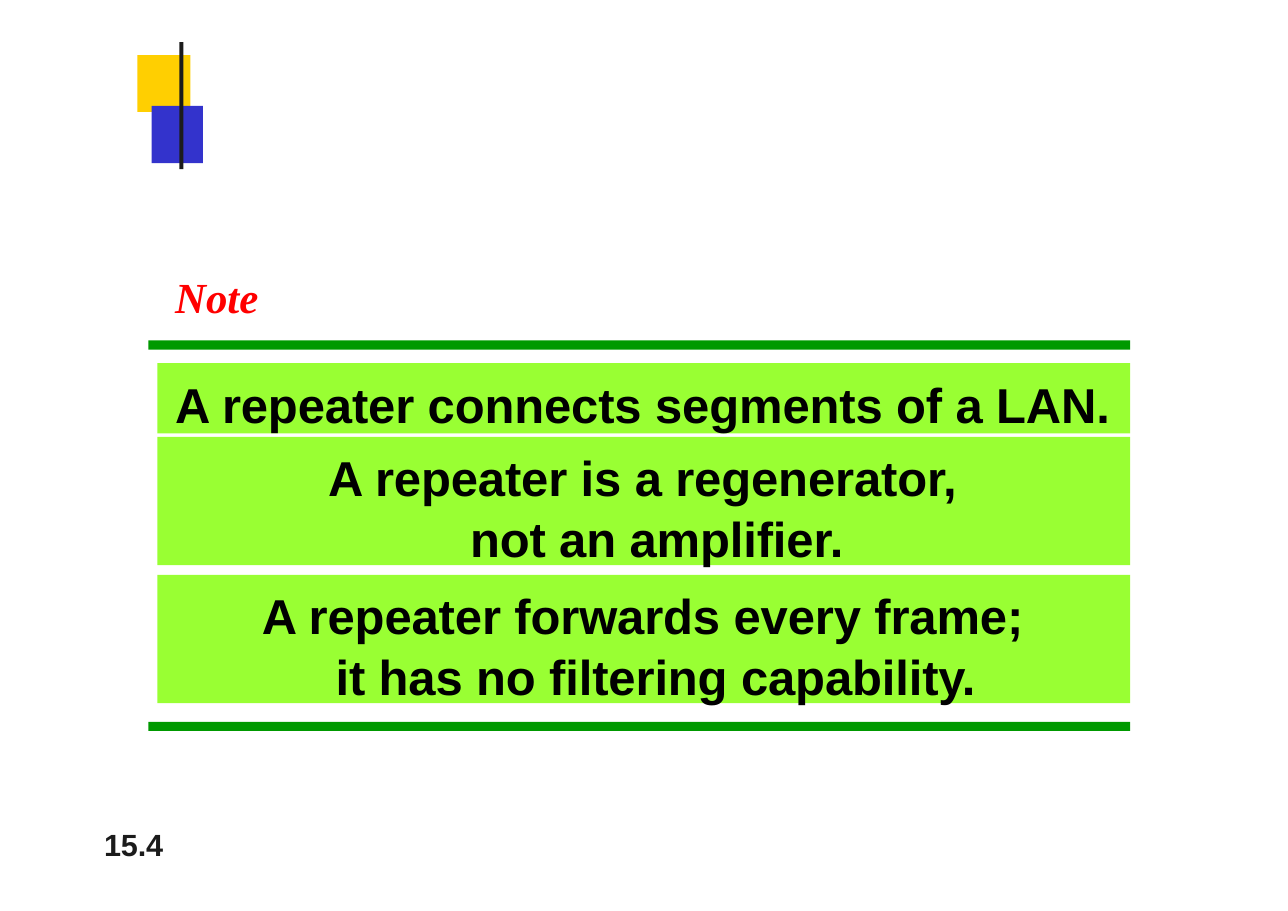
from pptx import Presentation
from pptx.dml.color import RGBColor
from pptx.enum.shapes import MSO_SHAPE
from pptx.enum.text import MSO_ANCHOR, MSO_AUTO_SIZE, PP_ALIGN
from pptx.util import Cm, Pt

TITLE = "Note"
PAGE_NUMBER = "15.4"

# Left, top, width, height in cm, then fill
ORNAMENT = [
    (3.17, 1.27, 1.22, 1.31, "FFCF01"),
    (3.5, 2.44, 1.18, 1.32, "3333CC"),
    (4.14, 0.97, 0.09, 2.93, "1C1C1C"),
]
RULE_TOPS = [7.85, 16.64]
RULE_LEFT, RULE_WIDTH, RULE_HEIGHT = 3.42, 22.64, 0.21

# Top and height in cm, then lines of text with the left indent of each
STATEMENTS = [
    (8.37, 1.62, [("A repeater connects segments of a LAN.", 0.41)]),
    (10.07, 2.96, [("A repeater is a regenerator,", 3.94),
                   ("not an amplifier.", 7.21)]),
    (13.25, 2.96, [("A repeater forwards every frame;", 2.41),
                   ("it has no filtering capability.", 4.11)]),
]
STATEMENT_LEFT, STATEMENT_WIDTH = 3.63, 22.43


def color(value):
    return RGBColor.from_string(value)


def add_block(page, left, top, width, height, fill):
    block = page.shapes.add_shape(
        MSO_SHAPE.RECTANGLE, Cm(left), Cm(top), Cm(width), Cm(height))
    block.shadow.inherit = False
    block.fill.solid()
    block.fill.fore_color.rgb = color(fill)
    block.line.fill.background()
    return block


def prepare_frame(box, top_inset=0):
    frame = box.text_frame
    frame.margin_left = frame.margin_right = frame.margin_bottom = 0
    frame.margin_top = Cm(top_inset)
    frame.word_wrap = True
    frame.auto_size = MSO_AUTO_SIZE.NONE
    frame.vertical_anchor = MSO_ANCHOR.TOP
    return frame


def add_span(para, text, size, font, fill, italic=False, spacing=0):
    """Add a bold run; spacing is in hundredths of a point."""
    para.alignment = PP_ALIGN.LEFT
    span = para.add_run()
    span.text = text
    span.font.size = Pt(size)
    span.font.name = font
    span.font.bold = True
    span.font.italic = italic
    span.font.color.rgb = color(fill)
    if spacing:
        span.font._element.set("spc", str(spacing))


def add_statement(page, top, height, lines):
    block = add_block(page, STATEMENT_LEFT, top, STATEMENT_WIDTH, height, "99FF33")
    frame = prepare_frame(block, 0.2)
    for index, (text, indent) in enumerate(lines):
        para = frame.add_paragraph() if index else frame.paragraphs[0]
        para.line_spacing = 1.04
        add_span(para, text, 32, "Arial", "000000", spacing=-10)
        para._p.get_or_add_pPr().set("marL", str(Cm(indent)))


def main():
    deck = Presentation()
    deck.slide_width, deck.slide_height = Cm(29.7), Cm(21)
    page = deck.slides.add_slide(deck.slide_layouts[5])

    for block in ORNAMENT:
        add_block(page, *block)
    for top in RULE_TOPS:
        add_block(page, RULE_LEFT, top, RULE_WIDTH, RULE_HEIGHT, "009900")

    title = page.shapes.title
    title.left, title.top, title.width, title.height = Cm(4.04), Cm(6.1), Cm(5), Cm(1.27)
    title_para = prepare_frame(title, 0.15).paragraphs[0]
    add_span(title_para, TITLE, 28, "Times New Roman", "FF0000", italic=True)

    for statement in STATEMENTS:
        add_statement(page, *statement)

    number = page.shapes.add_textbox(Cm(2.4), Cm(19.05), Cm(2), Cm(0.86))
    number_para = prepare_frame(number).paragraphs[0]
    add_span(number_para, PAGE_NUMBER, 20, "Arial", "1B1B1B", spacing=-10)

    deck.save("out.pptx")


if __name__ == "__main__":
    main()
